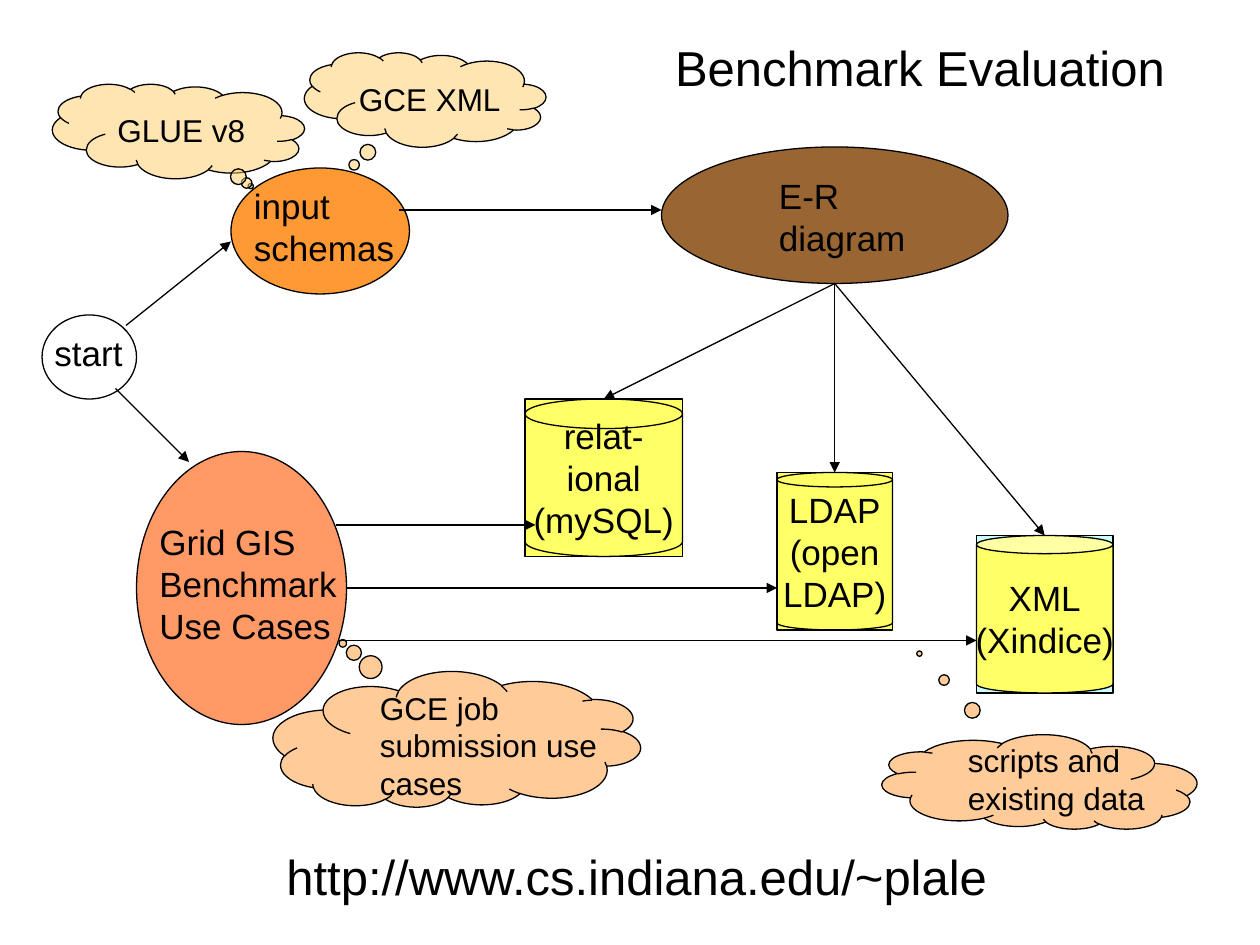
from lxml.etree import SubElement
from pptx import Presentation
from pptx.dml.color import RGBColor
from pptx.enum.shapes import MSO_CONNECTOR, MSO_SHAPE as Preset
from pptx.enum.text import MSO_ANCHOR as Anchor, MSO_AUTO_SIZE as AutoSize, PP_ALIGN as Align
from pptx.oxml.ns import qn
from pptx.util import Pt

PX = 7620  # EMU per px, 120 px to the inch
COLORS = {
    "black": "000000", "orange": "FF9933", "sand": "FFCC66", "brown": "996633",
    "yellow": "FFFF66", "ice": "CCFFFF", "salmon": "FF9966",
}

deck = Presentation()
deck.slide_width, deck.slide_height = 1200 * PX, 900 * PX
page = deck.slides.add_slide(deck.slide_layouts[5])


def add_outline(preset, bounds, fill=None, adjustments=()):
    """Add a black-outlined shape, unfilled when no colour is named."""
    shape = page.shapes.add_shape(preset, *(n * PX for n in bounds))
    shape.shadow.inherit = False
    shape.line.color.rgb = RGBColor.from_string(COLORS["black"])
    shape.line.width = Pt(0.75)
    if fill:
        shape.fill.solid()
        shape.fill.fore_color.rgb = RGBColor.from_string(COLORS[fill])
    else:
        shape.fill.background()
    for index, value in enumerate(adjustments):
        shape.adjustments[index] = value
    return shape


def write(box, text, size=20, align=Align.LEFT, anchor=Anchor.TOP, wrap=True):
    """Fill a shape with one paragraph per line of text."""
    frame = box.text_frame
    frame.text = text
    frame.word_wrap = wrap
    frame.auto_size = AutoSize.NONE
    frame.vertical_anchor = anchor
    for para in frame.paragraphs:
        para.alignment = align
        para.font.name = "Arial"
        para.font.size = Pt(size)
        para.font.color.rgb = RGBColor.from_string(COLORS["black"])


# Thought clouds
clouds = [
    ((260, 640, 350, 130), "orange", (0.316, 0.691), None, 181.3),
    ((290, 50, 230, 90), "sand", (0.335, 0.785), "flipH", 0),
    ((50, 80, 240, 90), "sand", (-0.287, 0.581), "flipH", 0),
    ((840, 700, 300, 90), "orange", (-0.381, 1.361), "flipV", 0),
]
for bounds, color, tip, flip, rotation in clouds:
    cloud = add_outline(Preset.CLOUD_CALLOUT, bounds, color, tip)
    cloud.rotation = rotation
    if flip:
        cloud.element.spPr.find(qn("a:xfrm")).set(flip, "1")
    rgb = cloud.element.spPr.find(qn("a:solidFill")).find(qn("a:srgbClr"))
    SubElement(rgb, qn("a:alpha"), val="50000")

# Process steps and database panels
add_outline(Preset.OVAL, (40, 300, 90, 80))
add_outline(Preset.OVAL, (220, 160, 170, 120), "orange")
add_outline(Preset.OVAL, (630, 140, 330, 130), "brown")

databases = [
    ((500, 380, 150, 150), "yellow", None, 0.188, "relat-\nional\n(mySQL)"),
    ((740, 450, 110, 150), "yellow", None, 0.125, "LDAP\n(open\nLDAP)"),
    ((930, 510, 130, 150), "ice", "yellow", 0.133, "XML\n(Xindice)"),
]
panels = [add_outline(Preset.RECTANGLE, bounds, color) for bounds, color, *_ in databases]
relational, ldap, xml = panels

# Arrows: start, end, panel whose top they meet
arrows = [
    ((110, 370), (180, 440), None),
    ((120, 310), (220, 230), None),
    ((380, 200), (630, 200), None),
    ((320, 500), (510, 500), None),
    ((320, 560), (740, 560), None),
    ((310, 610), (930, 610), None),
    ((795, 270), (575, 380), relational),
    ((795, 270), (795, 450), ldap),
    ((795, 270), (995, 510), xml),
]
for start, end, panel in arrows:
    arrow = page.shapes.add_connector(MSO_CONNECTOR.STRAIGHT, *(n * PX for n in start + end))
    arrow.line.color.rgb = RGBColor.from_string(COLORS["black"])
    arrow.line.width = Pt(0.75)
    line = arrow.element.spPr.find(qn("a:ln"))
    SubElement(line, qn("a:tailEnd"), type="triangle")
    SubElement(arrow.element.spPr, qn("a:effectLst"))
    if panel is not None:
        arrow.end_connect(panel, 0)

# Cylinders; an unfilled one leaves its label to the panel behind
for panel, (bounds, _, can_color, depth, label) in zip(panels, databases):
    can = add_outline(Preset.CAN, bounds, can_color, [depth])
    write(can if can_color else panel, label, align=Align.CENTER, anchor=Anchor.MIDDLE, wrap=False)

add_outline(Preset.OVAL, (130, 430, 200, 260), "salmon")

# Labels, each box a little wider than its longest line
labels = [
    ("start", (40, 310, 100, 53), 20),
    ("input\nschemas", (230, 170, 170, 92), 20),
    ("E-R\ndiagram", (730, 160, 160, 92), 20),
    ("Grid GIS\nBenchmark\nUse Cases", (140, 490, 210, 132), 20),
    ("GLUE v8", (100, 100, 160, 48), 18),
    ("GCE XML", (330, 70, 170, 48), 18),
    ("GCE job\nsubmission use\ncases", (350, 650, 250, 120), 18),
    ("scripts and\nexisting data", (910, 700, 210, 84), 18),
    ("http://www.cs.indiana.edu/~plale", (261, 800, 710, 68), 28),
]
for text, bounds, size in labels:
    box = page.shapes.add_textbox(*(n * PX for n in bounds))
    write(box, text, size=size)

title = page.shapes.title
title.left, title.top, title.width, title.height = (n * PX for n in (631, 30, 510, 68))
write(title, "Benchmark Evaluation", size=28)

deck.save("out.pptx")
